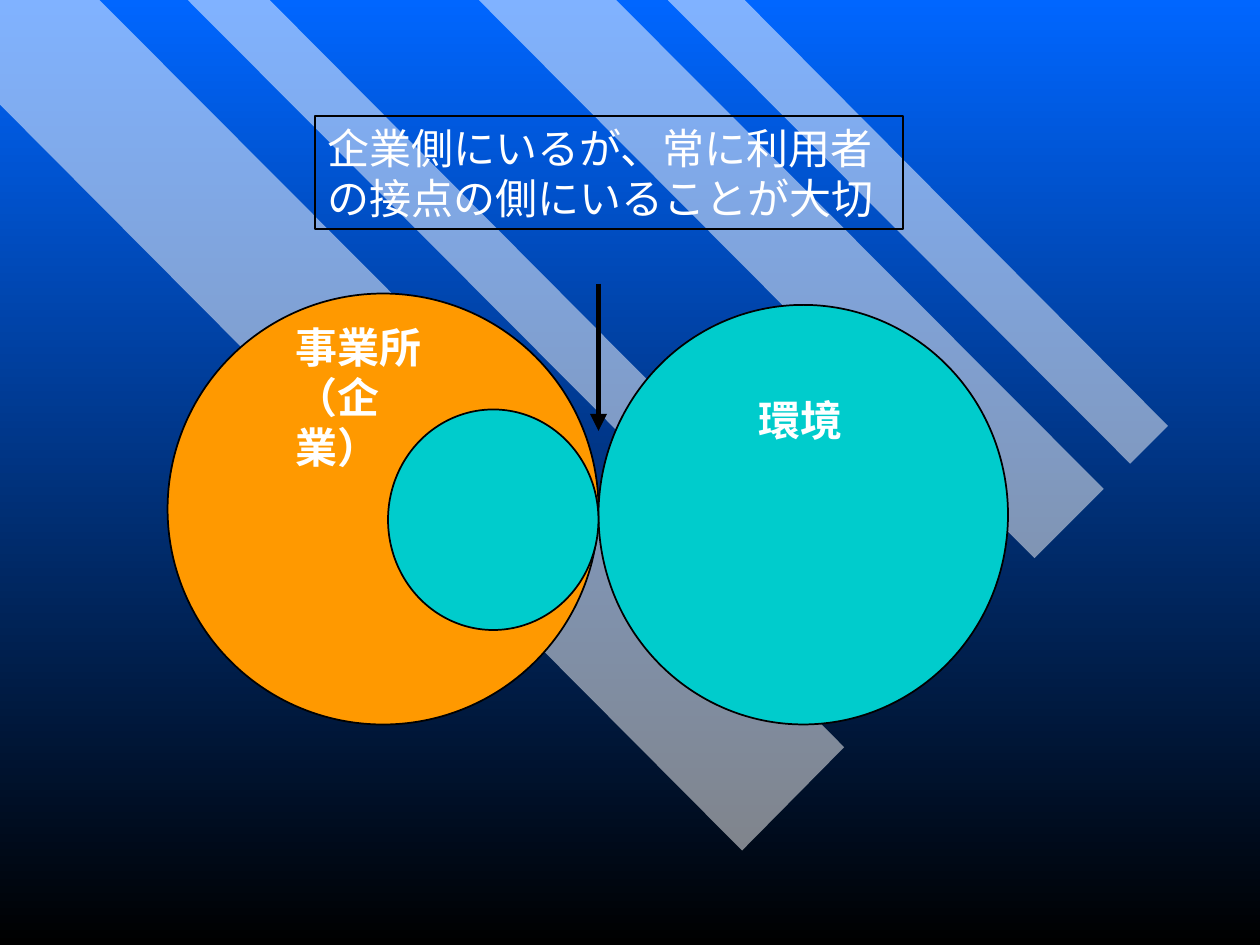
"""Build a slide of touching circles for a company and its environment."""
from typing import NamedTuple

from lxml import etree
from pptx import Presentation
from pptx.dml.color import RGBColor
from pptx.enum import shapes as kinds, text as modes
from pptx.oxml import ns
from pptx.util import Inches, Pt

WHITE = RGBColor(0xFF, 0xFF, 0xFF)
BLACK = RGBColor(0, 0, 0)
BLUE = RGBColor(0, 0x66, 0xFF)
ORANGE = RGBColor(0xFF, 0x99, 0)
TEAL = RGBColor(0, 0xCC, 0xCC)
TOUCH = 4.75


class Disc(NamedTuple):
    left: float
    top: float
    width: float
    height: float
    color: RGBColor


class Label(NamedTuple):
    left: float
    top: float
    width: float
    height: float
    lines: tuple
    bold: bool = True
    framed: bool = False


BANDS = [
    [(6.7, 5.93), (0.79, 0), (0, 0), (0, 0.83), (5.89, 6.75)],
    [(2.14, 0), (7.38, 5.27), (7.06, 5.59), (1.49, 0)],
    [(4.89, 0), (8.76, 3.88), (8.21, 4.43), (3.8, 0)],
    [(5.3, 0), (8.97, 3.68), (9.27, 3.38), (5.91, 0)],
]
DISCS = [
    Disc(TOUCH - 3.42, 2.33, 3.42, 3.42, ORANGE),
    Disc(TOUCH, 2.42, 3.25, 3.33, TEAL),
    Disc(TOUCH - 1.67, 3.25, 1.67, 1.75, TEAL),
]
LABELS = [
    Label(5.92, 3.08, 1, 0.5, ("環境",)),
    Label(2.25, 2.5, 1.33, 1.3, ("事業所", "（企業）")),
    Label(2.5, 0.92, 4.67, 0.9,
          ("企業側にいるが、常に利用者の接点の側にいることが大切",),
          bold=False, framed=True),
]


def paint(slide) -> None:
    fill = slide.background.fill
    fill.gradient()
    fill.gradient_angle = 270
    for stop, color, place in zip(fill.gradient_stops, (BLUE, BLACK), (0, 1)):
        stop.color.rgb = color
        stop.position = place


def add_band(group, points: list) -> None:
    dots = [(Inches(x), Inches(y)) for x, y in points]
    pen = group.shapes.build_freeform(*dots[0])
    pen.add_line_segments(dots[1:], close=True)
    band = pen.convert_to_shape()
    band.shadow.inherit = False
    band.fill.solid()
    band.fill.fore_color.rgb = WHITE
    band.line.fill.background()
    color = band.fill._xPr.find(".//" + ns.qn("a:srgbClr"))
    etree.SubElement(color, ns.qn("a:alpha"), val="50000")


def add_disc(slide, disc: Disc) -> None:
    oval = slide.shapes.add_shape(
        kinds.MSO_SHAPE.OVAL, *(Inches(n) for n in disc[:4]))
    oval.shadow.inherit = False
    oval.fill.solid()
    oval.fill.fore_color.rgb = disc.color
    oval.line.color.rgb = BLACK
    oval.line.width = Pt(1)


def add_label(slide, label: Label) -> None:
    box = slide.shapes.add_textbox(*(Inches(n) for n in label[:4]))
    if label.framed:
        box.line.color.rgb = BLACK
        box.line.width = Pt(1)
    frame = box.text_frame
    frame.word_wrap = True
    frame.auto_size = modes.MSO_AUTO_SIZE.SHAPE_TO_FIT_TEXT
    para = frame.paragraphs[0]
    for i, line in enumerate(label.lines):
        if i:
            para.add_line_break()
        run = para.add_run()
        run.text = line
        run.font.name = "Times New Roman"
        run.font.size = Pt(24)
        run.font.bold = label.bold
        run.font.color.rgb = WHITE


def add_arrow(slide, x: float, top: float, end: float) -> None:
    arrow = slide.shapes.add_connector(
        kinds.MSO_CONNECTOR.STRAIGHT,
        Inches(x), Inches(top), Inches(x), Inches(end))
    arrow.line.color.rgb = BLACK
    arrow.line.width = Pt(3.25)
    etree.SubElement(arrow.line._get_or_add_ln(), ns.qn("a:tailEnd"),
                     type="triangle")
    etree.SubElement(arrow._element.spPr, ns.qn("a:effectLst"))


def main() -> None:
    deck = Presentation()
    deck.slide_width, deck.slide_height = Inches(10), Inches(7.5)
    slide = deck.slides.add_slide(deck.slide_layouts[6])
    paint(slide)
    group = slide.shapes.add_group_shape()
    for band in BANDS:
        add_band(group, band)
    for disc in DISCS:
        add_disc(slide, disc)
    add_arrow(slide, TOUCH, 2.25, 3.42)
    for label in LABELS:
        add_label(slide, label)
    deck.save("out.pptx")


if __name__ == "__main__":
    main()
